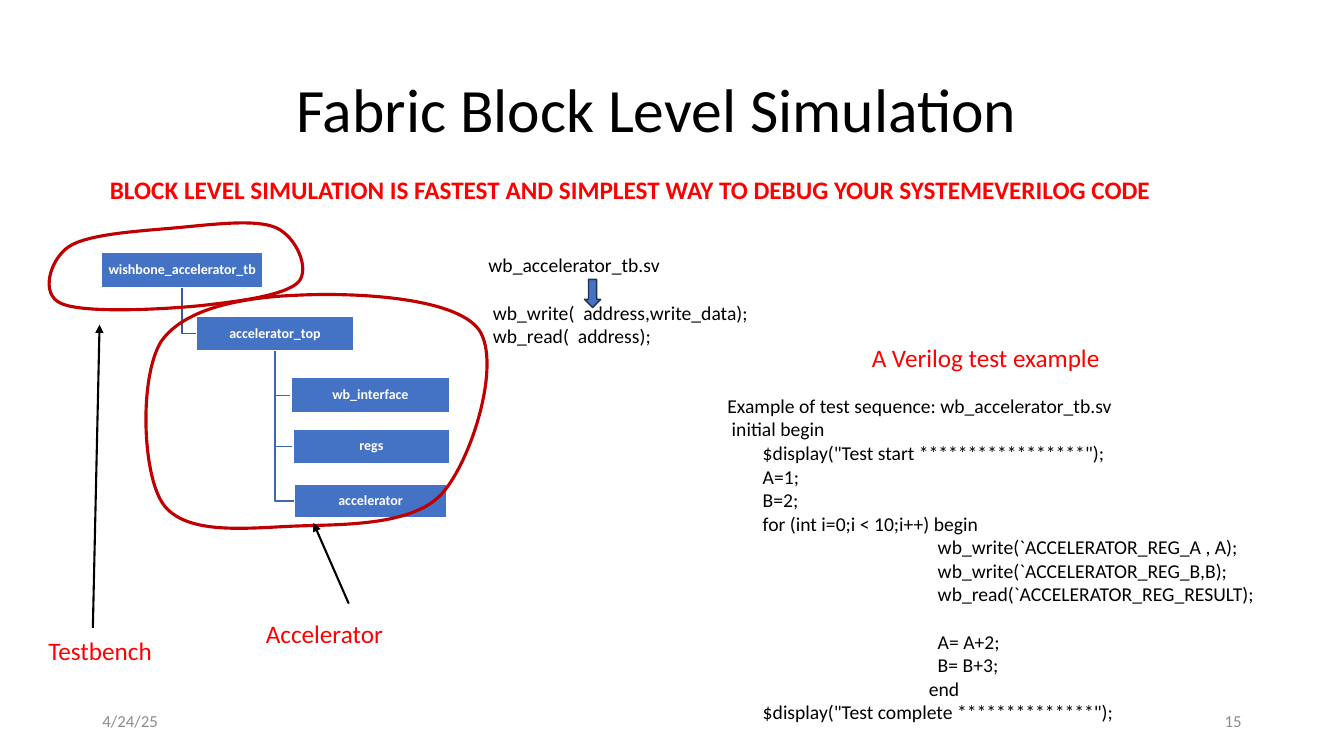
"""Build the block level simulation slide with its module tree and test code."""
from lxml import etree
from pptx import Presentation
from pptx.dml.color import RGBColor
from pptx.enum.shapes import MSO_CONNECTOR, MSO_SHAPE
from pptx.enum.text import MSO_ANCHOR, MSO_AUTO_SIZE, PP_ALIGN
from pptx.oxml.ns import qn
from pptx.util import Cm, Pt

RECTANGLE, DOWN_ARROW = MSO_SHAPE.RECTANGLE, MSO_SHAPE.DOWN_ARROW
STRAIGHT = MSO_CONNECTOR.STRAIGHT
TOP, MIDDLE = MSO_ANCHOR.TOP, MSO_ANCHOR.MIDDLE
LEFT, CENTER, RIGHT = PP_ALIGN.LEFT, PP_ALIGN.CENTER, PP_ALIGN.RIGHT
NO_AUTO_SIZE = MSO_AUTO_SIZE.NONE
BLACK = RGBColor(0x00, 0x00, 0x00)
WHITE = RGBColor(0xFF, 0xFF, 0xFF)
GRAY = RGBColor(0x8C, 0x8C, 0x8C)
RED = RGBColor(0xFF, 0x00, 0x00)
DARK_RED = RGBColor(0xC0, 0x00, 0x00)
BLUE = RGBColor(0x44, 0x72, 0xC4)
NAVY = RGBColor(0x1E, 0x32, 0x56)
TOP_BRANCH = RGBColor(0x36, 0x5B, 0x9D)
LOWER_BRANCH = RGBColor(0x3E, 0x67, 0xB2)
TAB_WIDTH = Cm(2.54)


def write_text(shape, text, size=18, color=BLACK, bold=False, align=LEFT,
               anchor=TOP, line_spacing=1.0, gap_lines=()):
    frame = shape.text_frame
    frame.word_wrap = True
    frame.auto_size = NO_AUTO_SIZE
    frame.vertical_anchor = anchor
    for index, line in enumerate(text.split("\n")):
        paragraph = frame.add_paragraph() if index else frame.paragraphs[0]
        paragraph.alignment = align
        paragraph.line_spacing = line_spacing
        paragraph.space_before = Pt(17 if index in gap_lines else 0)
        if "\t" in line:
            properties = paragraph._p.get_or_add_pPr()
            properties.set("defTabSz", str(TAB_WIDTH))
            stops = etree.SubElement(properties, qn("a:tabLst"))
            for number in (1, 2):
                etree.SubElement(stops, qn("a:tab"), pos=str(number * TAB_WIDTH), algn="l")
        run = paragraph.add_run()
        run.text = line
        run.font.name = "Calibri"
        run.font.size = Pt(size)
        run.font.bold = bold
        run.font.color.rgb = color


def draw_outline(points, color, width, curved=False):
    corners = [(Cm(x), Cm(y)) for x, y in points]
    builder = slide.shapes.build_freeform(*corners[0])
    builder.add_line_segments(corners[1:], close=curved)
    shape = builder.convert_to_shape()
    shape.shadow.inherit = False
    shape.fill.background()
    shape.line.color.rgb = color
    shape.line.width = Pt(width)
    if curved:
        segments = list(shape._element.iter(qn("a:lnTo")))
        for start in range(0, len(segments), 3):
            curve = etree.Element(qn("a:cubicBezTo"))
            segments[start].addprevious(curve)
            for segment in segments[start:start + 3]:
                curve.append(segment[0])
                segment.getparent().remove(segment)


presentation = Presentation()
presentation.slide_width = Cm(33.87)
presentation.slide_height = Cm(19.05)
slide = presentation.slides.add_slide(presentation.slide_layouts[5])

title = slide.shapes.title
title.left, title.top, title.width, title.height = Cm(7.21), Cm(1.73), Cm(24.77), Cm(2.21)
write_text(title, "Fabric Block Level Simulation", size=44, anchor=MIDDLE, line_spacing=0.9)

modules = {
    "wishbone_accelerator_tb": (2.56, 6.35, 4.06, 0.89),
    "accelerator_top": (4.95, 7.98, 3.96, 0.86),
    "wb_interface": (7.33, 9.52, 4.01, 0.88),
    "regs": (7.38, 10.82, 3.96, 0.86),
    "accelerator": (7.42, 12.21, 3.84, 0.84),
}
branches = [
    ("accelerator_top", "accelerator", LOWER_BRANCH),
    ("accelerator_top", "regs", LOWER_BRANCH),
    ("accelerator_top", "wb_interface", LOWER_BRANCH),
    ("wishbone_accelerator_tb", "accelerator_top", TOP_BRANCH),
]
for parent, child, color in branches:
    left, top, width, height = modules[parent]
    child_left, child_top, _, child_height = modules[child]
    trunk, child_middle = left + width / 2, child_top + child_height / 2
    draw_outline([(trunk, top + height), (trunk, child_middle), (child_left, child_middle)], color, 1)

blocks = [(RECTANGLE, name, box, WHITE) for name, box in modules.items()]
blocks.append((DOWN_ARROW, "", (14.73, 7.04, 0.41, 0.71), NAVY))
for kind, name, box, line_color in blocks:
    block = slide.shapes.add_shape(kind, *map(Cm, box))
    block.shadow.inherit = False
    block.fill.solid()
    block.fill.fore_color.rgb = BLUE
    block.line.color.rgb = line_color
    block.line.width = Pt(1)
    if name:
        frame = block.text_frame
        frame.margin_left = frame.margin_right = Cm(0.03)
        frame.margin_top = frame.margin_bottom = Cm(0.03)
        write_text(block, name, size=10, color=WHITE, bold=True, align=CENTER,
                   anchor=MIDDLE, line_spacing=0.9)

test_calls = """wb_accelerator_tb.sv
 wb_write(  address,write_data);
 wb_read(  address);"""
test_sequence = """Example of test sequence: wb_accelerator_tb.sv
 initial begin
        $display("Test start *****************");
        A=1;
        B=2;
        for (int i=0;i < 10;i++) begin
\t\t  wb_write(`ACCELERATOR_REG_A , A);
\t\t  wb_write(`ACCELERATOR_REG_B,B);
\t\t  wb_read(`ACCELERATOR_REG_RESULT);
\t\t  A= A+2;
\t\t  B= B+3;
\t\tend
        $display("Test complete **************");"""
headline = "BLOCK LEVEL SIMULATION IS FASTEST AND SIMPLEST WAY TO DEBUG YOUR SYSTEMEVERILOG CODE"
footer = {"size": 12, "color": GRAY, "anchor": MIDDLE}
texts = [
    (headline, (2.52, 4.27, 29.01, 1.02), {"color": RED, "bold": True}),
    (test_calls, (12.06, 6.26, 8.36, 2.64), {"size": 14, "gap_lines": (1,)}),
    (test_sequence, (18.08, 9.8, 14.88, 8.9), {"size": 14, "gap_lines": (9,)}),
    ("Testbench", (0.97, 15.88, 6.22, 1.02), {"color": RED}),
    ("Accelerator", (6.45, 15.46, 6.22, 1.02), {"color": RED}),
    ("A Verilog test example", (21.72, 8.51, 8.64, 1.02), {"color": RED}),
    ("4/24/25", (2.33, 17.65, 7.62, 1.02), footer),
    ("15", (23.92, 17.65, 7.62, 1.02), footer | {"align": RIGHT}),
]
for text, box, text_format in texts:
    write_text(slide.shapes.add_textbox(*map(Cm, box)), text, **text_format)

testbench_loop = [
    (4.45, 5.74), (5.33, 5.66), (6.45, 5.51), (6.96, 5.74), (7.47, 5.97), (7.82, 6.78),
    (7.52, 7.11), (7.19, 7.44), (6.07, 7.59), (5.08, 7.7), (4.09, 7.8), (2.11, 7.9),
    (1.55, 7.65), (0.99, 7.42), (1.27, 6.53), (1.73, 6.22), (2.21, 5.89), (3.58, 5.82),
]
accelerator_loop = [
    (7.37, 13.26), (6.2, 13.31), (4.67, 13.49), (4.11, 12.7), (3.58, 11.94), (3.51, 9.5),
    (4.06, 8.61), (4.65, 7.75), (6.17, 7.49), (7.49, 7.44), (8.84, 7.37), (11.46, 7.47),
    (12.07, 8.31), (12.65, 9.14), (11.89, 11.61), (11.13, 12.45), (10.36, 13.28), (8.53, 13.21),
]
for loop in (testbench_loop, accelerator_loop):
    draw_outline(loop + loop[:1], DARK_RED, 2.25, curved=True)

for ends in [(2.34, 15.82, 2.51, 8.18), (8.79, 15.21, 7.9, 13.18)]:
    arrow = slide.shapes.add_connector(STRAIGHT, *map(Cm, ends))
    arrow.line.color.rgb = BLACK
    arrow.line.width = Pt(1.5)
    etree.SubElement(arrow.line._get_or_add_ln(), qn("a:tailEnd"), type="triangle")
    etree.SubElement(arrow._element.spPr, qn("a:effectLst"))

presentation.save("out.pptx")
